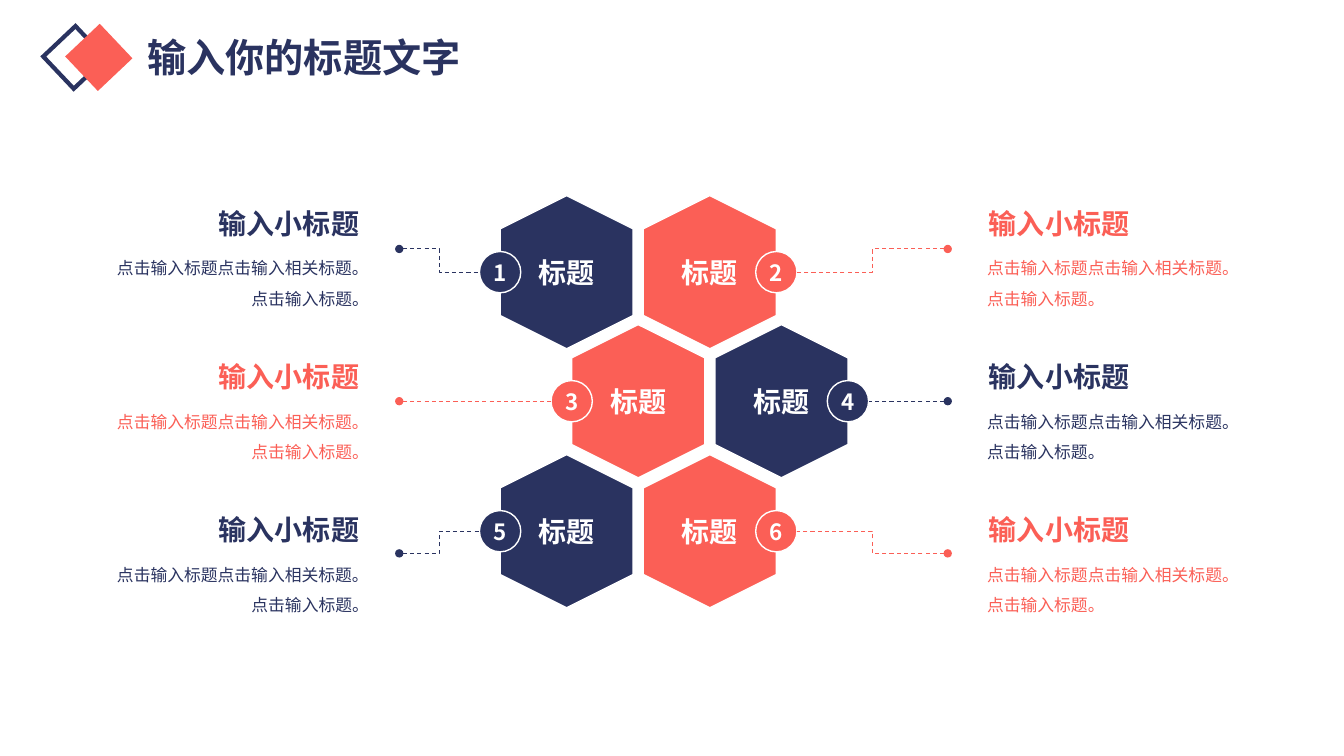
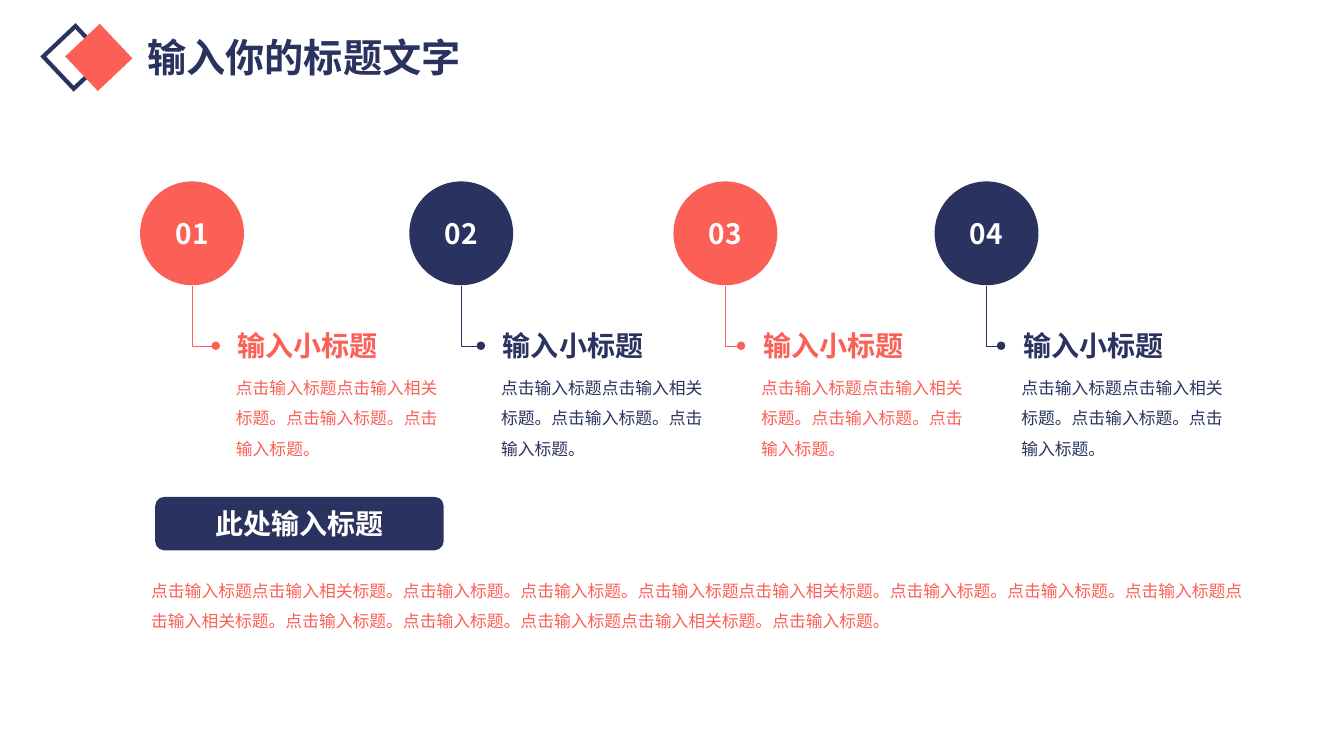
from lxml import etree
from pptx import Presentation
from pptx.dml.color import RGBColor
from pptx.enum.dml import MSO_LINE
from pptx.enum.shapes import MSO_CONNECTOR, MSO_SHAPE
from pptx.enum.text import MSO_ANCHOR, MSO_AUTO_SIZE, PP_ALIGN
from pptx.oxml.ns import qn
from pptx.util import Inches, Pt

NAVY = RGBColor(0x2A, 0x33, 0x60)
CORAL = RGBColor(0xFB, 0x5F, 0x56)
WHITE = RGBColor(0xFF, 0xFF, 0xFF)
FONT = "Noto Sans CJK SC"

TITLE = "输入你的标题文字"
SUBTITLE = "输入小标题"
SENTENCE = "点击输入标题。"
LEAD = "点击输入标题点击输入相关标题。" + SENTENCE

TITLE_FORMAT = {"size": Pt(28), "bold": True}
HEADING_FORMAT = {"size": Pt(20), "bold": True}
BADGE_FORMAT = {"size": Pt(16), "bold": True}
BODY_FORMAT = {"size": Pt(12), "bold": False}
NO_MARGINS = dict.fromkeys(
    ("margin_left", "margin_top", "margin_right", "margin_bottom"), 0)

HEX_WIDTH, HEX_HEIGHT, HEX_SHOULDER = 1.32, 1.52, 0.33
HEX_LEFT, HEX_HALF_PITCH = 5.62, 0.71
ROW_CENTERS = (2.7, 3.98, 5.27)
DOT_ROWS = (2.47, 3.98, 5.49)
BADGE_SIZE = 0.41
CAPTION_TOP, CAPTION_PITCH = 1.99, 1.52
STEP_CIRCLE = 1.03


def set_attributes(target, values):
    for name, value in values.items():
        setattr(target, name, value)


def write(frame, text, color, font_format, align=PP_ALIGN.LEFT, spacing=None, **frame_format):
    set_attributes(frame, {"word_wrap": True, **frame_format})
    paragraph = frame.paragraphs[0]
    set_attributes(paragraph, {"alignment": align, "line_spacing": spacing})
    run = paragraph.add_run()
    run.text = text
    run.font.color.rgb = color
    set_attributes(run.font, {"name": FONT, **font_format})
    east_asian = etree.SubElement(run.font._element, qn("a:ea"))
    east_asian.set("typeface", FONT)


def add_text(slide, box, text, color, font_format, **text_format):
    frame = slide.shapes.add_textbox(*map(Inches, box)).text_frame
    write(frame, text, color, font_format,
          auto_size=MSO_AUTO_SIZE.SHAPE_TO_FIT_TEXT, **text_format)


def add_body(slide, box, text, color, align=PP_ALIGN.LEFT):
    add_text(slide, box, text, color, BODY_FORMAT, align=align, spacing=1.5, **NO_MARGINS)


def paint(shape, fill=None, outline=None, width=1):
    shape.shadow.inherit = False
    for part, color in ((shape.fill, fill), (shape.line.fill, outline)):
        if color is None:
            part.background()
        else:
            part.solid()
            part.fore_color.rgb = color
    if outline is not None:
        shape.line.width = Pt(width)


def add_shape(slide, kind, box, **colors):
    shape = slide.shapes.add_shape(kind, *map(Inches, box))
    paint(shape, **colors)
    return shape


def label(shape, text, font_format=HEADING_FORMAT):
    write(shape.text_frame, text, WHITE, font_format, align=PP_ALIGN.CENTER,
          vertical_anchor=MSO_ANCHOR.MIDDLE, **NO_MARGINS)


def add_dotted_line(slide, kind, dot, end, color, width, dash=None):
    """Draw a connector that starts at a round dot."""
    connector = slide.shapes.add_connector(kind, *map(Inches, (*dot, *end)))
    connector.line.color.rgb = color
    set_attributes(connector.line, {"width": Pt(width), "dash_style": dash})
    properties = connector._element.spPr
    etree.SubElement(properties.find(qn("a:ln")), qn("a:headEnd")).set("type", "oval")
    etree.SubElement(properties, qn("a:effectLst"))
    return connector


def add_titled_slide(deck):
    slide = deck.slides.add_slide(deck.slide_layouts[5])
    diamonds = (((0.52, 0.35, 0.44, 0.44), None, NAVY, 3),
                ((0.81, 0.4, 0.34, 0.34), CORAL, CORAL, 9.5))
    for box, fill, outline, width in diamonds:
        diamond = add_shape(slide, MSO_SHAPE.RECTANGLE, box,
                            fill=fill, outline=outline, width=width)
        diamond.rotation = 46.6
        outline_xml = diamond._element.spPr.find(qn("a:ln"))
        etree.SubElement(outline_xml, qn("a:miter")).set("lim", "800000")
    title = slide.shapes.title
    set_attributes(title, {"left": Inches(0.74), "top": Inches(0.28),
                           "width": Inches(4.55), "height": Inches(0.57)})
    write(title.text_frame, TITLE, NAVY, TITLE_FORMAT, align=PP_ALIGN.CENTER,
          vertical_anchor=MSO_ANCHOR.TOP, auto_size=MSO_AUTO_SIZE.NONE)
    return slide


def add_hexagon(slide, center_x, center_y, color):
    left, right = center_x - HEX_WIDTH / 2, center_x + HEX_WIDTH / 2
    top, bottom = center_y - HEX_HEIGHT / 2, center_y + HEX_HEIGHT / 2
    upper, lower = top + HEX_SHOULDER, bottom - HEX_SHOULDER
    corners = [(right, upper), (right, lower), (center_x, bottom),
               (left, lower), (left, upper)]
    builder = slide.shapes.build_freeform(Inches(center_x), Inches(top))
    builder.add_line_segments([tuple(map(Inches, corner)) for corner in corners])
    hexagon = builder.convert_to_shape()
    paint(hexagon, fill=color, outline=WHITE)
    label(hexagon, "标题")


def add_badge(slide, number, center_x, center_y, color):
    box = (center_x - BADGE_SIZE / 2, center_y - BADGE_SIZE / 2, BADGE_SIZE, BADGE_SIZE)
    badge = add_shape(slide, MSO_SHAPE.OVAL, box, fill=color, outline=WHITE)
    label(badge, str(number), BADGE_FORMAT)


def add_side_caption(slide, row, on_right, color):
    top = CAPTION_TOP + row * CAPTION_PITCH
    heading_left, body_left = (9.71, 9.79) if on_right else (1.64, 1.12)
    align = PP_ALIGN.LEFT if on_right else PP_ALIGN.RIGHT
    add_text(slide, (heading_left, top, 2.02, 0.44), SUBTITLE, color, HEADING_FORMAT,
             align=align, vertical_anchor=MSO_ANCHOR.BOTTOM)
    add_body(slide, (body_left, top + 0.47, 2.54, 0.57), LEAD, color, align)


def add_honeycomb_cell(slide, row, column):
    """Add a hexagon with its number badge, leader line and caption."""
    on_right = column == 1
    color = CORAL if (row + column) % 2 else NAVY
    center_x = HEX_LEFT + HEX_HALF_PITCH * (2 * column + row % 2)
    center_y = ROW_CENTERS[row]
    side = 1 if on_right else -1
    badge_x = center_x + side * HEX_WIDTH / 2
    dot = (9.4 if on_right else 3.96, DOT_ROWS[row])
    kind = MSO_CONNECTOR.STRAIGHT if dot[1] == center_y else MSO_CONNECTOR.ELBOW

    add_hexagon(slide, center_x, center_y, color)
    add_badge(slide, 2 * row + column + 1, badge_x, center_y, color)
    add_dotted_line(slide, kind, dot, (badge_x + side * BADGE_SIZE / 2, center_y),
                    color, 0.75, MSO_LINE.DASH)
    add_side_caption(slide, row, on_right, color)


def build_honeycomb(deck):
    slide = add_titled_slide(deck)
    for row in range(len(ROW_CENTERS)):
        for column in range(2):
            add_honeycomb_cell(slide, row, column)


def add_step(slide, number, circle_left, caption_left, color):
    circle = add_shape(slide, MSO_SHAPE.OVAL,
                       (circle_left, 1.8, STEP_CIRCLE, STEP_CIRCLE), fill=color)
    label(circle, f"{number:02}")
    stem = add_dotted_line(slide, MSO_CONNECTOR.ELBOW, (caption_left - 0.12, 3.43),
                           (circle_left + STEP_CIRCLE / 2, 2.84), color, 0.25)
    stem._element.spPr.find(qn("a:prstGeom")).set("prst", "bentConnector2")
    add_text(slide, (caption_left, 3.21, 2.06, 0.44), SUBTITLE, color, HEADING_FORMAT)
    add_body(slide, (caption_left + 0.08, 3.65, 2.06, 0.87), LEAD + SENTENCE, color)


def build_steps(deck):
    slide = add_titled_slide(deck)
    lefts = ((1.39, 2.26), (4.06, 4.89), (6.68, 7.47), (9.27, 10.05))
    for number, (circle_left, caption_left) in enumerate(lefts, start=1):
        add_step(slide, number, circle_left, caption_left, CORAL if number % 2 else NAVY)
    banner = add_shape(slide, MSO_SHAPE.ROUNDED_RECTANGLE, (1.54, 4.93, 2.86, 0.53), fill=NAVY)
    label(banner, "此处输入标题")
    summary = (LEAD + SENTENCE) * 3 + LEAD
    add_body(slide, (1.5, 5.66, 10.97, 0.57), summary, CORAL)


def main():
    deck = Presentation()
    set_attributes(deck, {"slide_width": Inches(13.33), "slide_height": Inches(7.5)})
    build_honeycomb(deck)
    build_steps(deck)
    deck.save("out.pptx")


if __name__ == "__main__":
    main()
